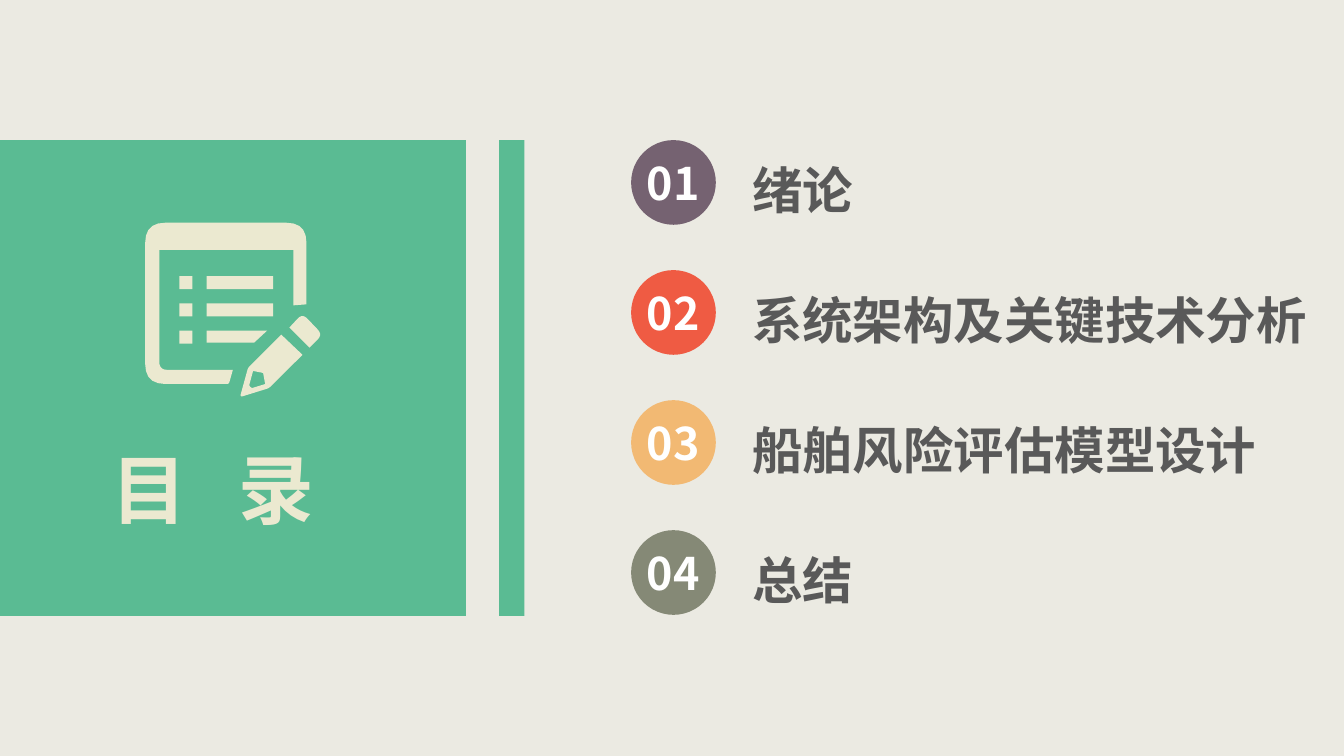
"""Build the contents slide: a green title panel with a notepad icon and four numbered topics."""
from math import dist

from lxml import etree
from pptx import Presentation
from pptx.dml.color import RGBColor
from pptx.enum import shapes, text
from pptx.oxml.ns import qn
from pptx.util import Inches, Pt

TITLE = "目 录"
TOPICS = [
    ("绪论", "plum"),
    ("系统架构及关键技术分析", "red"),
    ("船舶风险评估模型设计", "amber"),
    ("总结", "olive"),
]
COLORS = {
    "back": "EBEAE2", "green": "5ABB93", "cream": "EBE9D0", "grey": "595959",
    "white": "FFFFFF", "plum": "756271", "red": "EF5B43", "amber": "F2B973",
    "olive": "858976",
}
FONT = "Noto Sans CJK SC"
RECT, OVAL = shapes.MSO_SHAPE.RECTANGLE, shapes.MSO_SHAPE.OVAL

# Each vertex is x, y and corner radius in inches.
BOARD = [(2.31, 3.67, 0), (2.27, 3.81, 0.02), (1.44, 3.81, 0.2), (1.44, 2.21, 0.2),
         (3.04, 2.21, 0.2), (3.04, 3.02, 0), (2.91, 3.03, 0), (2.91, 2.48, 0),
         (1.58, 2.48, 0), (1.58, 3.67, 0.08)]
PENCIL = [(2.79, 3.32, 0), (3, 3.52, 0), (2.67, 3.85, 0.03), (2.38, 3.94, 0.03),
          (2.46, 3.65, 0.02)]
PENCIL_TIP = [(2.51, 3.68, 0), (2.47, 3.83, 0.02), (2.5, 3.85, 0.01), (2.63, 3.81, 0),
              (2.61, 3.7, 0.01)]
ERASER = [(2.87, 3.25, 0), (3, 3.11, 0.07), (3.2, 3.32, 0.07), (3.07, 3.45, 0)]
CUT_LINE = [(2.05, 3.28, 0), (2.65, 3.28, 0), (2.52, 3.4, 0), (2.05, 3.4, 0)]
ICON = [[BOARD], [PENCIL, PENCIL_TIP], [ERASER], [CUT_LINE]]

ROW_TOP, ROW_PITCH, ROW_H = 2.74, 0.27, 0.13
LIST_TOP, LIST_PITCH, DISC = 1.39, 1.29, 0.84
LINE_PT = 44


def rgb(name):
    return RGBColor.from_string(COLORS[name])


def paint(sp, color):
    sp.shadow.inherit = False
    sp.fill.solid()
    sp.fill.fore_color.rgb = rgb(color)
    sp.line.fill.background()


def add_block(s, kind, box, color):
    sp = s.shapes.add_shape(kind, *map(Inches, box))
    paint(sp, color)
    return sp


def style(p, size, color, align):
    p.alignment = align
    for r in p.runs:
        r.font.size, r.font.bold, r.font.name = Pt(size), True, FONT
        r.font.color.rgb = rgb(color)
        etree.SubElement(r._r.get_or_add_rPr(), qn("a:ea"), typeface=FONT)


def set_frame(sp, anchor):
    tf = sp.text_frame
    tf.word_wrap, tf.auto_size = False, text.MSO_AUTO_SIZE.NONE
    tf.vertical_anchor = anchor
    return tf


def place(sp, box):
    sp.left, sp.top, sp.width, sp.height = map(Inches, box)


def round_corners(vertices):
    points = []
    for i, (x, y, radius) in enumerate(vertices):
        if not radius:
            points.append((Inches(x), Inches(y)))
            continue
        ends = []
        for nx, ny, _ in (vertices[i - 1], vertices[(i + 1) % len(vertices)]):
            k = radius / dist((x, y), (nx, ny))
            ends.append((x + k * (nx - x), y + k * (ny - y)))
        (ax, ay), (bx, by) = ends
        for t in (0, 0.2, 0.4, 0.6, 0.8, 1):
            a, c, b = (1 - t) ** 2, 2 * t * (1 - t), t ** 2
            points.append((Inches(a * ax + c * x + b * bx), Inches(a * ay + c * y + b * by)))
    return points


def add_outline(s, contours):
    first, *holes = map(round_corners, contours)
    fb = s.shapes.build_freeform(*first[0])
    fb.add_line_segments(first[1:], close=True)
    for hole in holes:
        fb.move_to(*hole[0])
        fb.add_line_segments(hole[1:], close=True)
    paint(fb.convert_to_shape(), "cream")


def add_icon(s):
    for contours in ICON:
        add_outline(s, contours)
    for row in range(3):
        y = ROW_TOP + row * ROW_PITCH
        add_block(s, RECT, (1.78, y, ROW_H, ROW_H), "cream")
        if row < 2:
            add_block(s, RECT, (2.05, y, 0.66, ROW_H), "cream")


def add_title(s):
    sp = s.shapes.title
    place(sp, (1.01, 4.34, 2.6, 1.01))
    tf = set_frame(sp, text.MSO_ANCHOR.MIDDLE)
    tf.text = TITLE
    p = tf.paragraphs[0]
    style(p, 54, "cream", text.PP_ALIGN.LEFT)
    p.runs[0]._r.get_or_add_rPr().set("spc", "1200")
    s.shapes._spTree.append(sp._element)


def add_topics(s):
    sp = s.placeholders[1]
    place(sp, (7.36, 1.52, 5.9, 4.6))
    tf = set_frame(sp, text.MSO_ANCHOR.TOP)
    tf.text = "\n".join(topic for topic, _ in TOPICS)
    for i, p in enumerate(tf.paragraphs):
        pPr = p._p.get_or_add_pPr()
        pPr.set("marL", "0")
        pPr.set("indent", "0")
        etree.SubElement(pPr, qn("a:buNone"))
        p.line_spacing = Pt(LINE_PT)
        p.space_before = Pt(LIST_PITCH * 72 - LINE_PT if i else 0)
        style(p, 36, "grey", text.PP_ALIGN.LEFT)


def add_numbers(s):
    for i, (_, color) in enumerate(TOPICS):
        sp = add_block(s, OVAL, (6.26, LIST_TOP + i * LIST_PITCH, DISC, DISC), color)
        tf = set_frame(sp, text.MSO_ANCHOR.MIDDLE)
        tf.margin_left = tf.margin_right = tf.margin_top = tf.margin_bottom = 0
        tf.text = f"{i + 1:02d}"
        style(tf.paragraphs[0], 32, "white", text.PP_ALIGN.CENTER)


def main():
    prs = Presentation()
    prs.slide_width, prs.slide_height = Inches(13.33), Inches(7.5)
    s = prs.slides.add_slide(prs.slide_layouts[1])
    s.background.fill.solid()
    s.background.fill.fore_color.rgb = rgb("back")
    for x, width in ((0, 4.62), (4.95, 0.25)):
        add_block(s, RECT, (x, LIST_TOP, width, 4.72), "green")
    add_icon(s)
    add_title(s)
    add_topics(s)
    add_numbers(s)
    prs.save("out.pptx")


if __name__ == "__main__":
    main()
